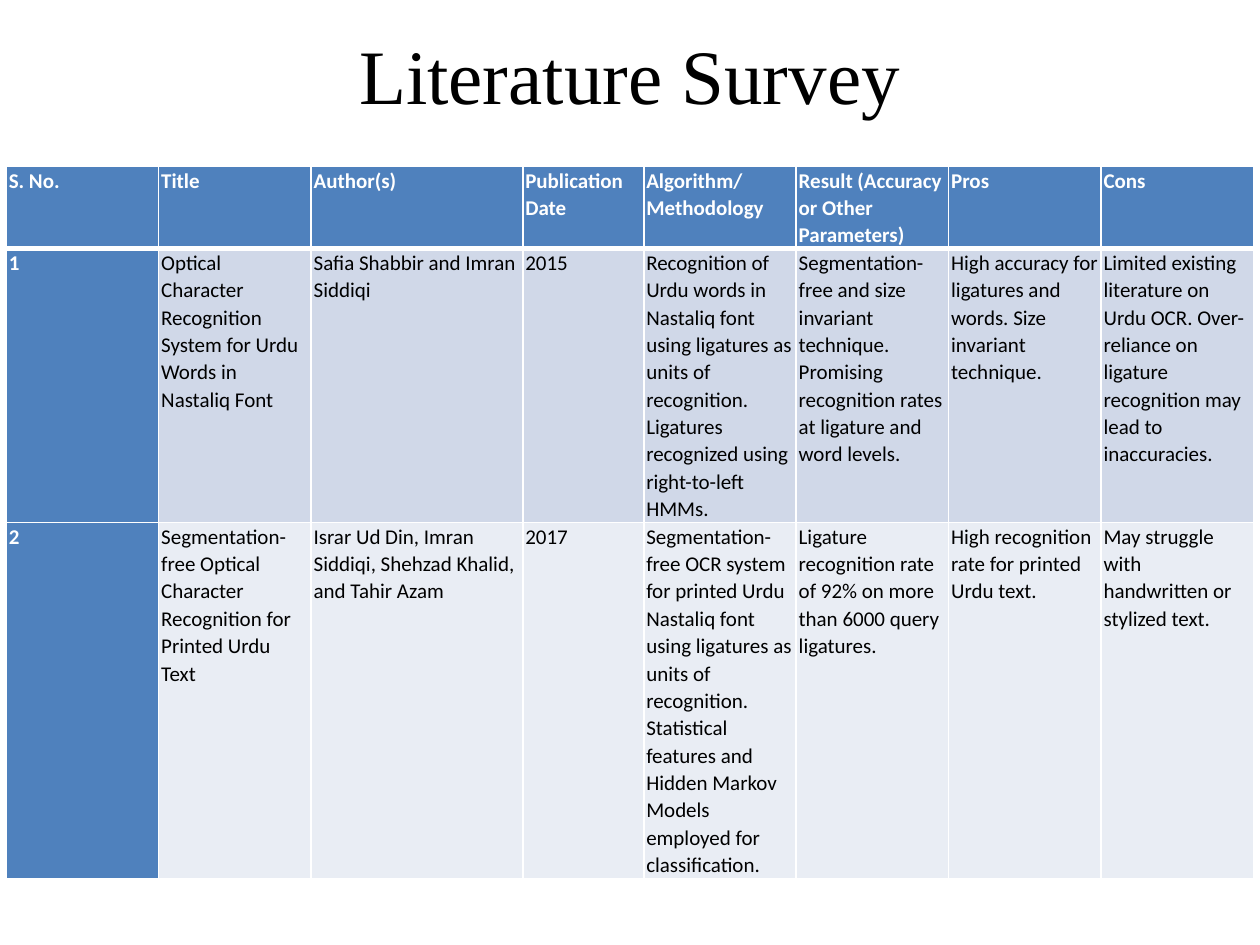
from lxml.etree import SubElement
from pptx import Presentation
from pptx.dml.color import RGBColor
from pptx.enum.text import MSO_ANCHOR as Anchor, PP_ALIGN as Align
from pptx.oxml.ns import qn
from pptx.util import Inches, Pt

WHITE = RGBColor(0xFF, 0xFF, 0xFF)
BLACK = RGBColor(0x00, 0x00, 0x00)
BLUE = RGBColor(0x4F, 0x81, 0xBD)
BAND_FILLS = (RGBColor(0xD0, 0xD8, 0xE8), RGBColor(0xE9, 0xED, 0xF4))

COLUMN_WIDTHS = (1.21, 1.21, 1.68, 0.96, 1.21, 1.21, 1.21, 1.21)
ROW_HEIGHTS = (0.64, 2.17, 2.83)
SURVEY = (
    ("S. No.", "Title", "Author(s)", "Publication Date", "Algorithm/Methodology",
     "Result (Accuracy or Other Parameters)", "Pros", "Cons"),
    ("1",
     "Optical Character Recognition System for Urdu Words in Nastaliq Font",
     "Safia Shabbir and Imran Siddiqi",
     "2015",
     "Recognition of Urdu words in Nastaliq font using ligatures as units of "
     "recognition. Ligatures recognized using right-to-left HMMs.",
     "Segmentation-free and size invariant technique. Promising recognition "
     "rates at ligature and word levels.",
     "High accuracy for ligatures and words. Size invariant technique.",
     "Limited existing literature on Urdu OCR. Over-reliance on ligature "
     "recognition may lead to inaccuracies."),
    ("2",
     "Segmentation-free Optical Character Recognition for Printed Urdu Text",
     "Israr Ud Din, Imran Siddiqi, Shehzad Khalid, and Tahir Azam",
     "2017",
     "Segmentation-free OCR system for printed Urdu Nastaliq font using "
     "ligatures as units of recognition. Statistical features and Hidden "
     "Markov Models employed for classification.",
     "Ligature recognition rate of 92% on more than 6000 query ligatures.",
     "High recognition rate for printed Urdu text.",
     "May struggle with handwritten or stylized text."),
)


def set_font(paragraph, name, size, color, bold=False):
    """Set the font of a whole paragraph."""
    font = paragraph.font
    font.name, font.size, font.bold = name, Pt(size), bold
    font.color.rgb = color


def add_title(slide, text):
    """Add the centred slide title."""
    box = slide.shapes.add_textbox(Inches(0.5), Inches(0.22), Inches(9), Inches(1.33))
    frame = box.text_frame
    frame.word_wrap = True
    frame.vertical_anchor = Anchor.TOP
    frame.margin_left = frame.margin_right = frame.margin_top = frame.margin_bottom = 0
    para = frame.paragraphs[0]
    para.text = text
    para.alignment = Align.CENTER
    set_font(para, "Times New Roman", 44, BLACK)


def add_borders(cell, top, bottom):
    """Draw white cell borders with the given top and bottom widths in points."""
    properties = cell._tc.get_or_add_tcPr()
    for side, width in (("L", 1), ("R", 1), ("T", top), ("B", bottom)):
        line = SubElement(properties, qn(f"a:ln{side}"), w=str(Pt(width)))
        fill = SubElement(line, qn("a:solidFill"))
        SubElement(fill, qn("a:srgbClr"), val=str(WHITE))


def fill_cell(cell, text, row, column):
    """Write and style one cell according to its place in the table."""
    heading = row == 0 or column == 0
    cell.margin_left = cell.margin_right = Inches(0.02)
    cell.margin_top = cell.margin_bottom = 0
    add_borders(cell, top=3 if row == 1 else 1, bottom=3 if row == 0 else 1)
    cell.fill.solid()
    cell.fill.fore_color.rgb = BLUE if heading else BAND_FILLS[row - 1]
    para = cell.text_frame.paragraphs[0]
    para.text = text
    para.line_spacing = 1.07
    para.space_after = Pt(8)
    set_font(para, "Calibri", 12, WHITE if heading else BLACK, heading)


def add_survey_table(slide):
    """Add the table of surveyed papers."""
    table = slide.shapes.add_table(
        len(SURVEY), len(COLUMN_WIDTHS), Inches(0.05), Inches(1.32),
        Inches(sum(COLUMN_WIDTHS)), Inches(sum(ROW_HEIGHTS))).table
    table.first_col = True
    for column, width in zip(table.columns, COLUMN_WIDTHS):
        column.width = Inches(width)
    for row, height in zip(table.rows, ROW_HEIGHTS):
        row.height = Inches(height)
    for row, texts in enumerate(SURVEY):
        for column, text in enumerate(texts):
            fill_cell(table.cell(row, column), text, row, column)


def main():
    """Build the literature survey slide."""
    deck = Presentation()
    deck.slide_width, deck.slide_height = Inches(10), Inches(7.5)
    slide = deck.slides.add_slide(deck.slide_layouts[6])
    add_survey_table(slide)
    add_title(slide, "Literature Survey")
    deck.save("out.pptx")


if __name__ == "__main__":
    main()
